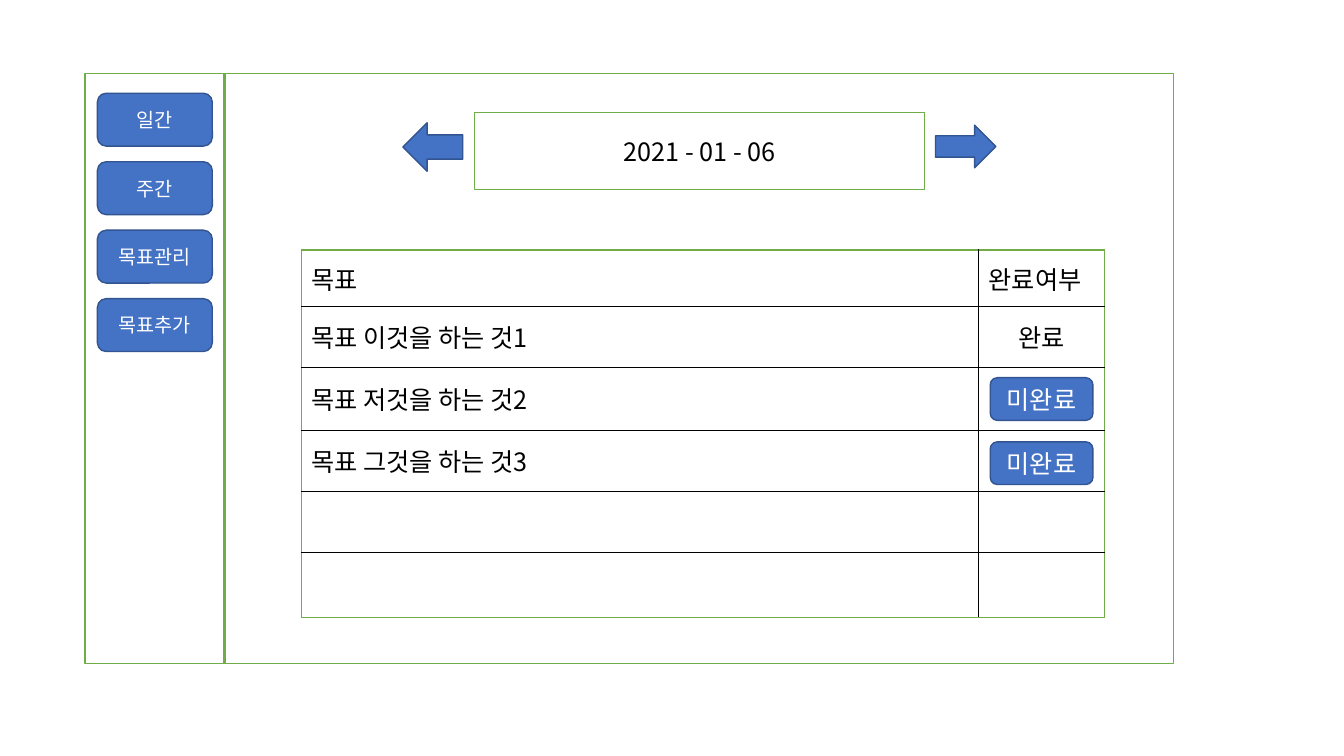
from lxml import etree
from pptx import Presentation
from pptx import util as u
from pptx.dml.color import RGBColor
from pptx.enum import shapes, text
from pptx.oxml import ns

FONT = "Noto Sans CJK KR"
WHITE = RGBColor(0xFF, 0xFF, 0xFF)
BLACK = RGBColor(0, 0, 0)
GREEN = RGBColor(0x70, 0xAD, 0x47)
BLUE = RGBColor(0x44, 0x72, 0xC4)
NAVY = RGBColor(0x32, 0x54, 0x91)

SHAPE = shapes.MSO_SHAPE
CENTER = text.PP_ALIGN.CENTER
LEFT = text.PP_ALIGN.LEFT
MIDDLE = text.MSO_ANCHOR.MIDDLE

MENU = ["일간", "주간", "목표관리", "목표추가"]
GOALS = [
    ("목표", "완료여부"),
    ("목표 이것을 하는 것1", "완료"),
    ("목표 저것을 하는 것2", ""),
    ("목표 그것을 하는 것3", ""),
    ("", ""),
    ("", ""),
]
COLUMN_WIDTHS = [483.8, 90]
ROW_HEIGHTS = [40.3, 43.2, 45.4, 43.2, 43.9, 46.8]


def add_run(paragraph, words, size, color, align):
    paragraph.alignment = align
    run = paragraph.add_run()
    run.text = words
    run.font.size = u.Pt(size)
    run.font.color.rgb = color
    run.font.name = FONT
    properties = run.font._element
    etree.SubElement(properties, ns.qn("a:ea"), typeface=FONT)


def add_block(slide, kind, box, fill, line, words="", size=18, color=BLACK):
    shape = slide.shapes.add_shape(kind, *map(u.Pt, box))
    shape.shadow.inherit = False
    shape.fill.solid()
    shape.fill.fore_color.rgb = fill
    shape.line.color.rgb = line
    shape.line.width = u.Pt(1)
    if words:
        frame = shape.text_frame
        frame.word_wrap = True
        frame.vertical_anchor = MIDDLE
        add_run(frame.paragraphs[0], words, size, color, CENTER)


def add_panel(slide, box, words=""):
    add_block(slide, SHAPE.RECTANGLE, box, WHITE, GREEN, words)


def add_button(slide, box, words, size):
    add_block(slide, SHAPE.ROUNDED_RECTANGLE, box, BLUE, NAVY, words, size, WHITE)


def set_borders(cell, outer_sides):
    properties = cell._tc.get_or_add_tcPr()
    for index, side in enumerate("LRTB"):
        color, width = (GREEN, 1) if side in outer_sides else (BLACK, 0.5)
        border = etree.Element(ns.qn(f"a:ln{side}"), w=str(u.Pt(width)))
        fill = etree.SubElement(border, ns.qn("a:solidFill"))
        etree.SubElement(fill, ns.qn("a:srgbClr"), val=str(color))
        properties.insert(index, border)


def add_goal_table(slide, left, top):
    frame = slide.shapes.add_table(
        len(ROW_HEIGHTS), len(COLUMN_WIDTHS), u.Pt(left), u.Pt(top),
        u.Pt(sum(COLUMN_WIDTHS)), u.Pt(sum(ROW_HEIGHTS)))
    table = frame.table
    table.first_row = False
    table.horz_banding = False
    for column, width in zip(table.columns, COLUMN_WIDTHS):
        column.width = u.Pt(width)
    last_row = len(GOALS) - 1
    for row_index, goal in enumerate(GOALS):
        table.rows[row_index].height = u.Pt(ROW_HEIGHTS[row_index])
        for column_index, words in enumerate(goal):
            cell = table.cell(row_index, column_index)
            cell.fill.solid()
            cell.fill.fore_color.rgb = WHITE
            cell.vertical_anchor = MIDDLE
            outer_sides = "LR"[column_index]
            outer_sides += {0: "T", last_row: "B"}.get(row_index, "")
            set_borders(cell, outer_sides)
            if words:
                align = CENTER if row_index and column_index else LEFT
                add_run(cell.text_frame.paragraphs[0], words, 18, BLACK, align)


def main():
    presentation = Presentation()
    presentation.slide_width = u.Pt(960)
    presentation.slide_height = u.Pt(540)
    slide = presentation.slides.add_slide(presentation.slide_layouts[6])

    add_panel(slide, (160.7, 52.6, 677.4, 421.2))
    add_panel(slide, (339.1, 80.4, 321.1, 54.8), "2021 - 01 - 06")
    add_goal_table(slide, 215.3, 178.6)
    for top in (269.8, 315.6):
        add_button(slide, (707.3, top, 73.4, 30.5), "미완료", 18)

    add_panel(slide, (60.7, 52.6, 99.5, 421.2))
    for index, words in enumerate(MENU):
        add_button(slide, (69.6, 66.6 + 48.9 * index, 82.1, 37.8), words, 14)

    add_block(slide, SHAPE.LEFT_ARROW, (287.8, 87.7, 42.8, 34.6), BLUE, NAVY)
    add_block(slide, SHAPE.RIGHT_ARROW, (668.2, 89.4, 43.2, 30.5), BLUE, NAVY)

    presentation.save("out.pptx")


main()
